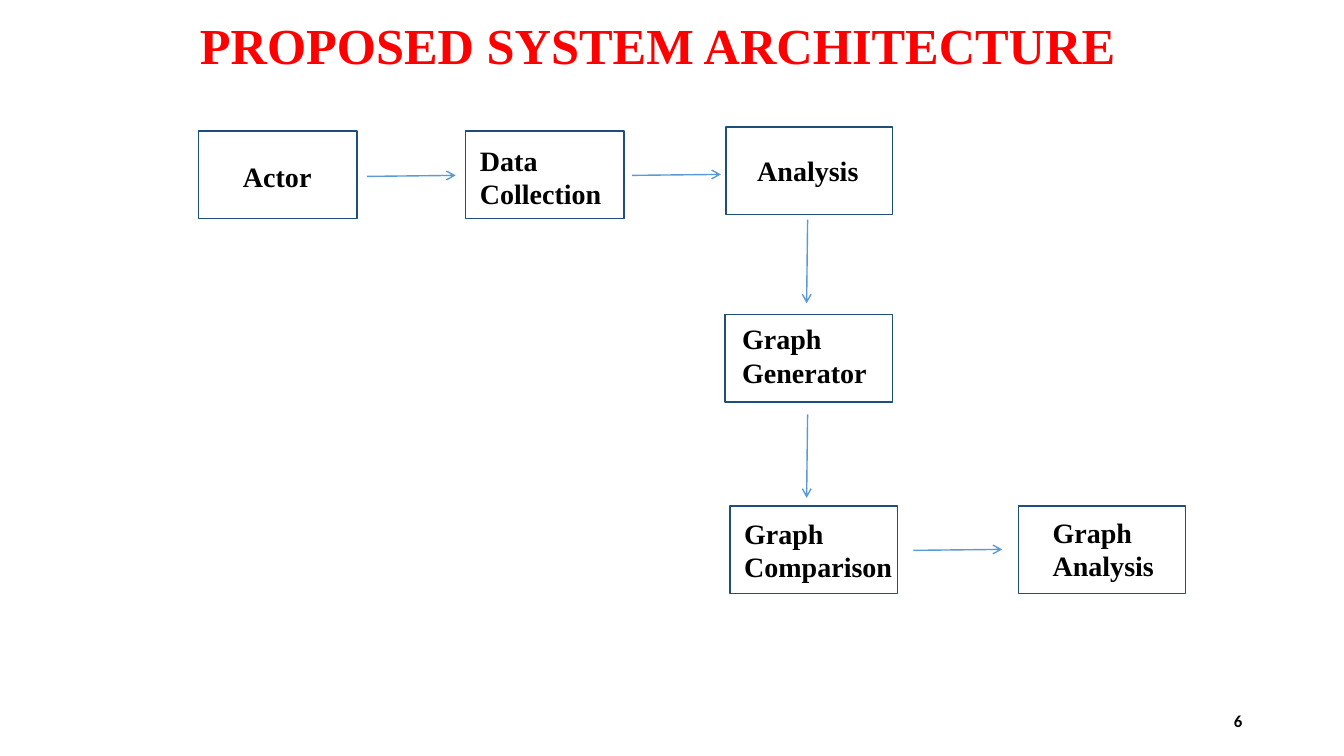
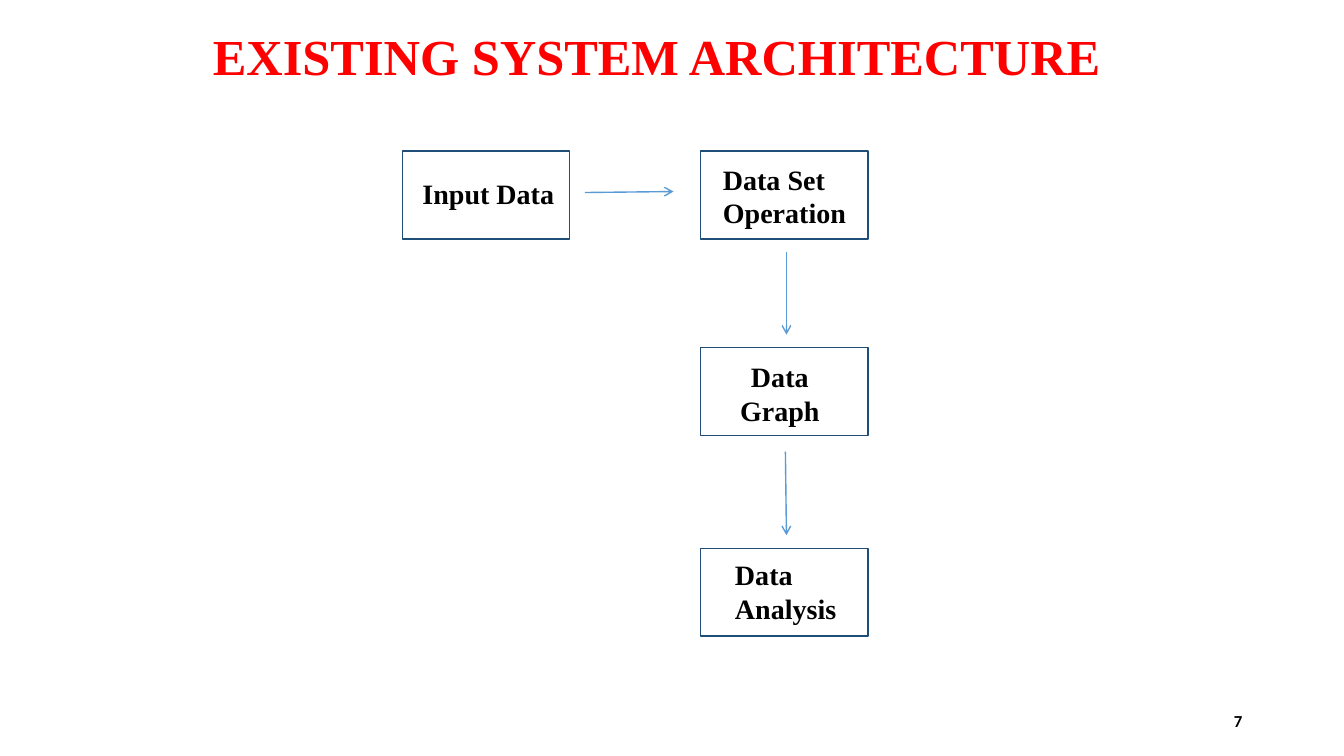
"""Build two slides that show the proposed and existing system architectures."""
from pptx import Presentation
from pptx.dml.color import RGBColor
from pptx.enum.shapes import MSO_CONNECTOR, MSO_SHAPE
from pptx.enum.text import MSO_ANCHOR as ANCHOR, PP_ALIGN as ALIGN
from pptx.oxml.ns import qn
from pptx.util import Inches, Pt
from lxml import etree

COLORS = {"title": "FF0000", "text": "000000", "box": "1F4E79", "arrow": "5B9BD5"}
SERIF = "Times New Roman"
TITLE = {"name": SERIF, "size": Pt(36), "bold": True}
LABEL = {"name": SERIF, "size": Pt(20), "bold": True}
NUMBER = {"name": "Calibri", "size": Pt(12), "bold": True}
BOX_H = 0.87

SLIDES = [
    {
        "title": ("PROPOSED SYSTEM ARCHITECTURE", 1.84, 0.09, 9.37),
        "number": "6",
        "boxes": [
            (1.97, 1.3, 1.57, 0.44, 0.28, ALIGN.LEFT, ["Actor"]),
            (4.62, 1.3, 1.57, 0.14, 0.12, ALIGN.LEFT, ["Data", "Collection"]),
            (7.2, 1.26, 1.65, 0.31, 0.26, ALIGN.LEFT, ["Analysis"]),
            (7.19, 3.12, 1.66, 0.17, 0.07, ALIGN.LEFT, ["Graph", "Generator"]),
            (7.24, 5.02, 1.66, 0.14, 0.1, ALIGN.LEFT, ["Graph", "Comparison"]),
            (10.1, 5.02, 1.66, 0.34, 0.09, ALIGN.LEFT, ["Graph", "Analysis"]),
        ],
        "arrows": [
            (3.64, 1.75, 4.52, 1.74),
            (6.27, 1.74, 7.15, 1.73),
            (8.01, 2.18, 8, 3.01),
            (8.01, 4.11, 8, 4.94),
            (9.06, 5.46, 9.94, 5.45),
        ],
    },
    {
        "title": ("EXISTING SYSTEM ARCHITECTURE", 1.97, 0.2, 9.09),
        "number": "7",
        "boxes": [
            (3.99, 1.5, 1.66, 0.2, 0.25, ALIGN.LEFT, ["Input Data"]),
            (6.95, 1.5, 1.66, 0.22, 0.11, ALIGN.LEFT, ["Data Set", "Operation"]),
            (6.95, 3.45, 1.66, 0, 0.12, ALIGN.CENTER, ["Data", "Graph"]),
            (6.95, 5.44, 1.66, 0.34, 0.09, ALIGN.LEFT, ["Data", "Analysis"]),
        ],
        "arrows": [
            (5.8, 1.91, 6.68, 1.9),
            (7.8, 2.5, 7.8, 3.32),
            (7.79, 4.48, 7.8, 5.31),
        ],
    },
]


def write(tf, lines, style, color, align):
    for i, line in enumerate(lines):
        p = tf.paragraphs[0] if i == 0 else tf.add_paragraph()
        p.alignment = align
        r = p.add_run()
        r.text = line
        for key, value in style.items():
            setattr(r.font, key, value)
        r.font.color.rgb = RGBColor.from_string(COLORS[color])


def outline(shape, color):
    shape.line.color.rgb = RGBColor.from_string(COLORS[color])
    shape.line.width = Pt(1)


prs = Presentation()
prs.slide_width, prs.slide_height = Inches(13.33), Inches(7.5)

for data in SLIDES:
    s = prs.slides.add_slide(prs.slide_layouts[6])

    text, x, y, w = data["title"]
    tf = s.shapes.add_textbox(Inches(x), Inches(y), Inches(w), Inches(0.71)).text_frame
    tf.word_wrap = True
    write(tf, [text], TITLE, "title", ALIGN.CENTER)

    for x, y, w, left, top, align, lines in data["boxes"]:
        sp = s.shapes.add_shape(MSO_SHAPE.RECTANGLE, Inches(x), Inches(y), Inches(w), Inches(BOX_H))
        sp.shadow.inherit = False
        sp.fill.background()
        outline(sp, "box")
        tf = sp.text_frame
        frame = {
            "word_wrap": True,
            "vertical_anchor": ANCHOR.TOP,
            "margin_left": Inches(left),
            "margin_top": Inches(top),
            "margin_right": Inches(0.09 if align == ALIGN.CENTER else 0),
            "margin_bottom": 0,
        }
        for key, value in frame.items():
            setattr(tf, key, value)
        write(tf, lines, LABEL, "text", align)

    for ends in data["arrows"]:
        arrow = s.shapes.add_connector(MSO_CONNECTOR.STRAIGHT, *[Inches(v) for v in ends])
        outline(arrow, "arrow")
        etree.SubElement(arrow.line._get_or_add_ln(), qn("a:tailEnd"), type="arrow")
        etree.SubElement(arrow._element.spPr, qn("a:effectLst"))

    tf = s.shapes.add_textbox(Inches(9.42), Inches(6.95), Inches(3), Inches(0.4)).text_frame
    tf.word_wrap = True
    tf.vertical_anchor = ANCHOR.MIDDLE
    write(tf, [data["number"]], NUMBER, "text", ALIGN.RIGHT)

prs.save("out.pptx")
